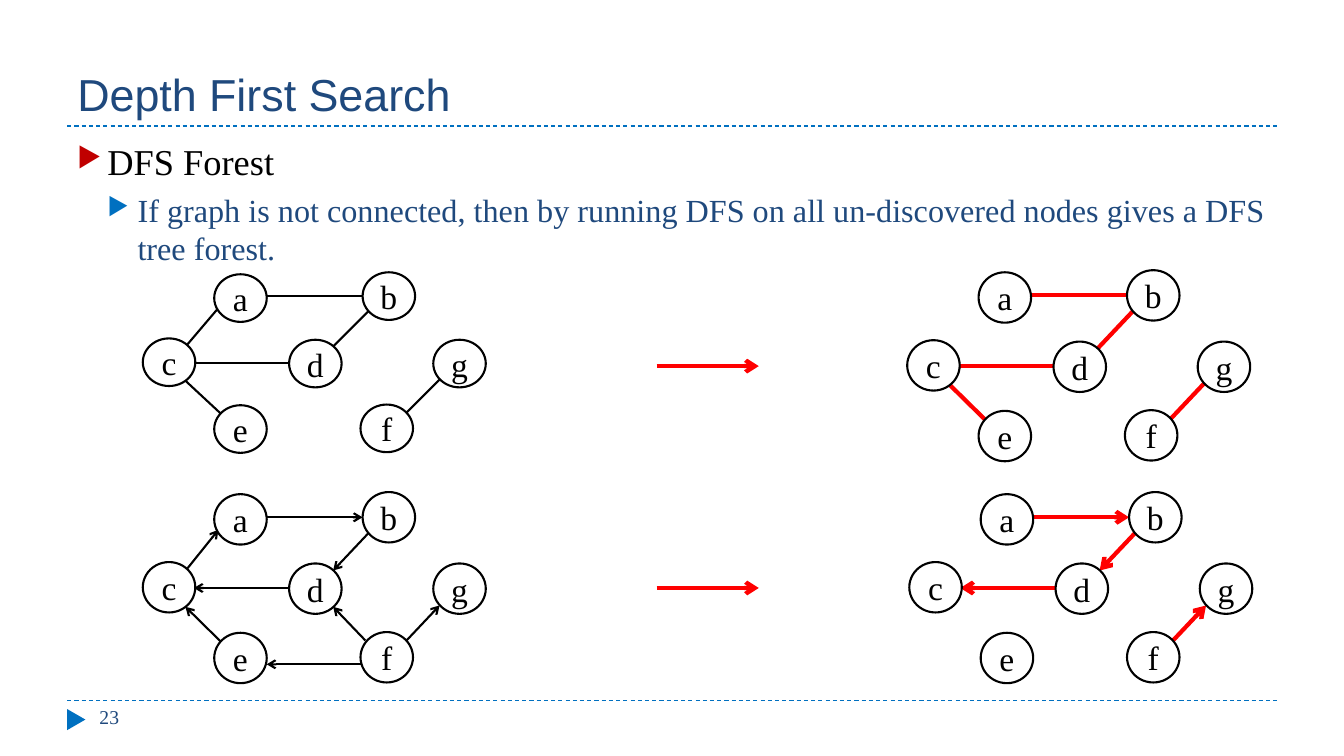
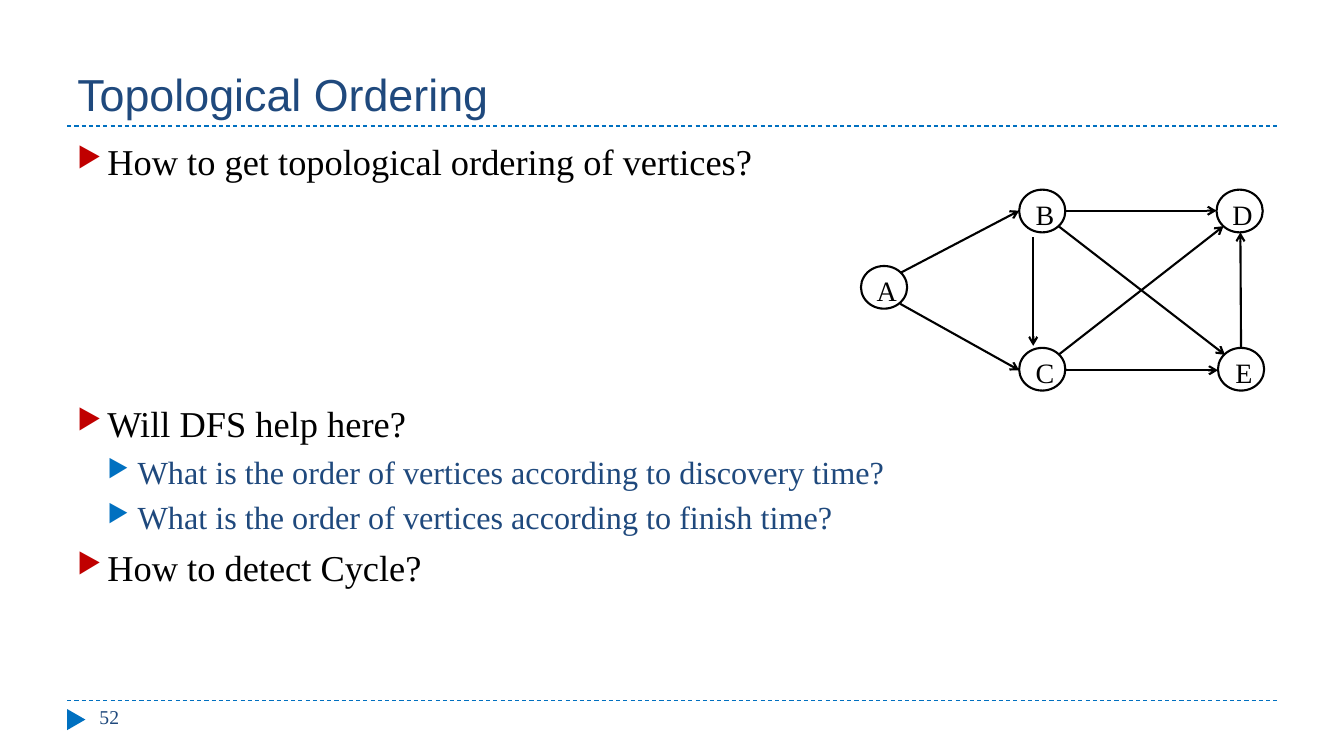
from pptx import Presentation
from pptx.dml.color import RGBColor
from pptx.enum.dml import MSO_LINE
from pptx.enum.shapes import MSO_CONNECTOR, MSO_SHAPE
from pptx.enum.text import MSO_ANCHOR, PP_ALIGN
from pptx.oxml.ns import qn
from pptx.util import Pt
from lxml import etree

STRAIGHT = MSO_CONNECTOR.STRAIGHT
ELLIPSE, TRIANGLE = MSO_SHAPE.OVAL, MSO_SHAPE.ISOSCELES_TRIANGLE
MIDDLE, BOTTOM, TOP = MSO_ANCHOR.MIDDLE, MSO_ANCHOR.BOTTOM, MSO_ANCHOR.TOP
LEFT, CENTER = PP_ALIGN.LEFT, PP_ALIGN.CENTER
DASH = MSO_LINE.DASH

COLORS = {"navy": "1F497D", "blue": "0070C0", "crimson": "C00000",
          "red": "FF0000", "black": "000000", "white": "FFFFFF"}
HEADING, SERIF = "Arial", "Times New Roman"
TITLE_ONLY = 5

TITLE_BOX = (48, 12, 864, 78)
BODY_BOX = (48, 96, 864, 389)
NUMBER_BOX = (64, 500, 208, 29)
MARKER_BOX = (47, 507.5, 15, 13)
RULE_LEFT, RULE_RIGHT, RULE_TOPS = 48, 912, (90, 500.5)

INDENT = 21.6
LEVELS = [
    {"size": 26, "color": "black", "bullet": "crimson", "before": 6},
    {"size": 23, "color": "navy", "bullet": "blue", "before": 5},
]

SEARCH_GRAPH = {
    "size": (245, 136.5), "node": (37.5, 36), "font": 24, "inset": 0,
    "nodes": {"a": (51, 1.5), "b": (157, 0), "c": (0, 50), "d": (104.5, 51),
              "e": (51, 100.5), "f": (155.5, 100), "g": (207.5, 51)},
    "edges": {"ab": (86.5, 18, 157, 18), "bd": (161.5, 29, 136, 56),
              "dc": (108, 68.5, 36.5, 68.5), "ec": (62, 113, 30.5, 82),
              "fg": (186.5, 108, 212, 81), "ca": (31.5, 55, 54, 27),
              "fe": (157, 123, 88.5, 123), "fd": (159, 106, 136, 82)},
}
ORDER_GRAPH = {
    "size": (288, 143.5), "node": (33, 30.5), "font": 20, "inset": 4,
    "nodes": {"A": (0, 54.5), "B": (113, 0), "C": (113, 113),
              "D": (254, 0), "E": (255, 113)},
    "edges": {"AB": (28, 59.5, 113, 15), "AC": (28, 81.5, 113, 129),
              "BC": (123, 34, 123, 111.5), "BD": (145.5, 15, 254, 15),
              "BE": (141, 26, 260, 118), "ED": (271.5, 113, 271, 30.5),
              "CE": (145.5, 129, 255, 129), "CD": (141, 118, 259, 26)},
}


def color(name):
    return RGBColor.from_string(COLORS[name])


def points(values):
    return [Pt(value) for value in values]


def apply_format(target, values):
    for name, value in values.items():
        setattr(target, name, value)


def place(shape, box):
    apply_format(shape, dict(zip(("left", "top", "width", "height"), points(box))))


def write(paragraph, text, font, size, color_name):
    paragraph.text = text
    apply_format(paragraph.font, {"name": font, "size": Pt(size), "bold": False})
    paragraph.font.color.rgb = color(color_name)


def add_line(shapes, ends, color_name, width, arrow=False):
    connector = shapes.add_connector(STRAIGHT, *points(ends))
    connector.line.color.rgb = color(color_name)
    connector.line.width = Pt(width)
    if arrow:
        etree.SubElement(connector.line._get_or_add_ln(), qn("a:tailEnd"), type="arrow")
    etree.SubElement(connector._element.spPr, qn("a:effectLst"))
    return connector


def add_filled(shapes, kind, box, fill):
    shape = shapes.add_shape(kind, *points(box))
    shape.shadow.inherit = False
    shape.fill.solid()
    shape.fill.fore_color.rgb = color(fill)
    return shape


def add_text_box(slide, box):
    frame = slide.shapes.add_textbox(*points(box)).text_frame
    apply_format(frame, {"word_wrap": True, "vertical_anchor": TOP})
    return frame


def add_frame(presentation, title, number):
    slide = presentation.slides.add_slide(presentation.slide_layouts[TITLE_ONLY])
    for top in RULE_TOPS:
        rule = add_line(slide.shapes, (RULE_LEFT, top, RULE_RIGHT, top), "blue", 0.75)
        rule.line.dash_style = DASH
    marker = add_filled(slide.shapes, TRIANGLE, MARKER_BOX, "blue")
    marker.rotation = 90
    marker.line.fill.background()
    heading = slide.shapes.title
    place(heading, TITLE_BOX)
    apply_format(heading.text_frame, {"vertical_anchor": BOTTOM, "word_wrap": True})
    paragraph = heading.text_frame.paragraphs[0]
    write(paragraph, title, HEADING, 32, "navy")
    paragraph.alignment = LEFT
    write(add_text_box(slide, NUMBER_BOX).paragraphs[0], number, SERIF, 14, "navy")
    return slide


def add_bullet(paragraph, level):
    properties = paragraph._p.get_or_add_pPr()
    properties.set("marL", str(Pt(INDENT * (level + 1))))
    properties.set("indent", str(-Pt(INDENT)))
    bullet_color = etree.SubElement(properties, qn("a:buClr"))
    etree.SubElement(bullet_color, qn("a:srgbClr"), val=COLORS[LEVELS[level]["bullet"]])
    etree.SubElement(properties, qn("a:buSzPct"), val="76000")
    etree.SubElement(properties, qn("a:buChar"), char="▶")


def add_body(slide, box, items):
    frame = add_text_box(slide, box)
    for index, (level, text, gap) in enumerate(items):
        paragraph = frame.add_paragraph() if index else frame.paragraphs[0]
        style = LEVELS[level]
        write(paragraph, text, SERIF, style["size"], style["color"])
        apply_format(paragraph, {"level": level, "alignment": LEFT,
                                 "space_before": Pt(style["before"] + gap)})
        add_bullet(paragraph, level)


def add_graph(slide, box, graph, edges, line=("black", 1.5), directed=True):
    left, top, width, height = box
    scale_x, scale_y = width / graph["size"][0], height / graph["size"][1]
    group = slide.shapes.add_group_shape()

    def locate(x, y):
        return left + x * scale_x, top + y * scale_y

    for edge in edges:
        ends = graph["edges"][edge]
        add_line(group.shapes, locate(*ends[:2]) + locate(*ends[2:]), *line, directed)
    node_width, node_height = graph["node"]
    node_size = (node_width * scale_x, node_height * scale_y)
    for label, position in graph["nodes"].items():
        node = add_filled(group.shapes, ELLIPSE, locate(*position) + node_size, "white")
        node.line.color.rgb = color("black")
        node.line.width = Pt(1.5)
        inset = Pt(graph["inset"])
        apply_format(node.text_frame, {
            "margin_left": inset, "margin_top": inset, "margin_right": 0,
            "margin_bottom": 0, "word_wrap": False, "vertical_anchor": MIDDLE})
        paragraph = node.text_frame.paragraphs[0]
        write(paragraph, label, SERIF, graph["font"], "black")
        paragraph.alignment = CENTER


def build_search_slide(presentation):
    slide = add_frame(presentation, "Depth First Search", "23")
    add_body(slide, BODY_BOX, [
        (0, "DFS Forest", 0),
        (1, "If graph is not connected, then by running DFS on all "
            "un-discovered nodes gives a DFS tree forest.", 0),
    ])
    forest_line = ("red", 3)
    add_graph(slide, (102, 194.5, 245, 129), SEARCH_GRAPH,
              ["ab", "bd", "dc", "ec", "fg", "ca"], directed=False)
    add_graph(slide, (648, 193, 245, 136.5), SEARCH_GRAPH,
              ["ab", "bd", "dc", "ec", "fg"], forest_line, directed=False)
    add_graph(slide, (102, 351.5, 245, 136.5), SEARCH_GRAPH, SEARCH_GRAPH["edges"])
    add_graph(slide, (649.5, 351.5, 245, 136.5), SEARCH_GRAPH,
              ["ab", "bd", "dc", "fg"], forest_line)
    for top in (261.5, 420):
        add_line(slide.shapes, (469, top, 542, top), *forest_line, arrow=True)


def build_order_slide(presentation):
    slide = add_frame(presentation, "Topological Ordering", "52")
    add_body(slide, BODY_BOX, [
        (0, "How to get topological ordering of vertices?", 0),
        (0, "Will DFS help here?", 150),
        (1, "What is the order of vertices according to discovery time?", 0),
        (1, "What is the order of vertices according to finish time?", 0),
        (0, "How to detect Cycle?", 0),
    ])
    add_graph(slide, (615, 135.5, 288, 143.5), ORDER_GRAPH, ORDER_GRAPH["edges"])


def main():
    presentation = Presentation()
    apply_format(presentation, {"slide_width": Pt(960), "slide_height": Pt(540)})
    build_search_slide(presentation)
    build_order_slide(presentation)
    presentation.save("out.pptx")


if __name__ == "__main__":
    main()
